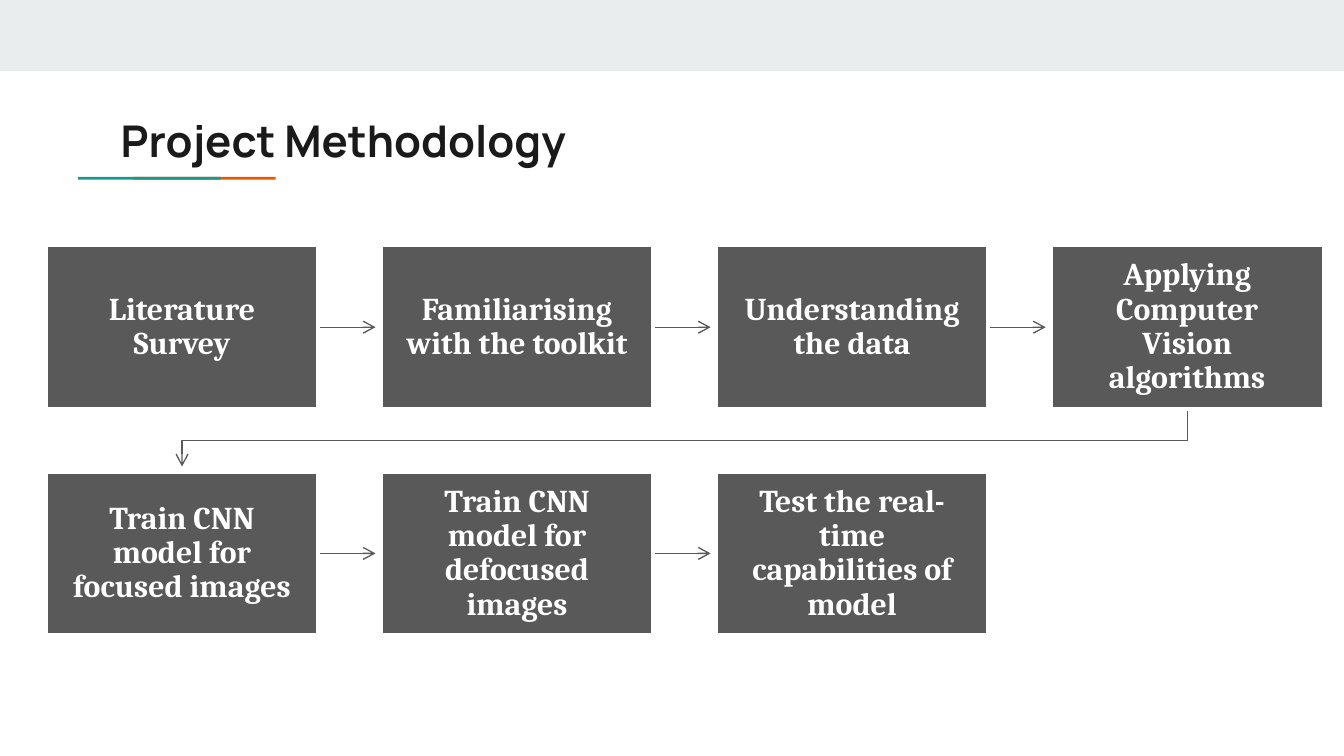
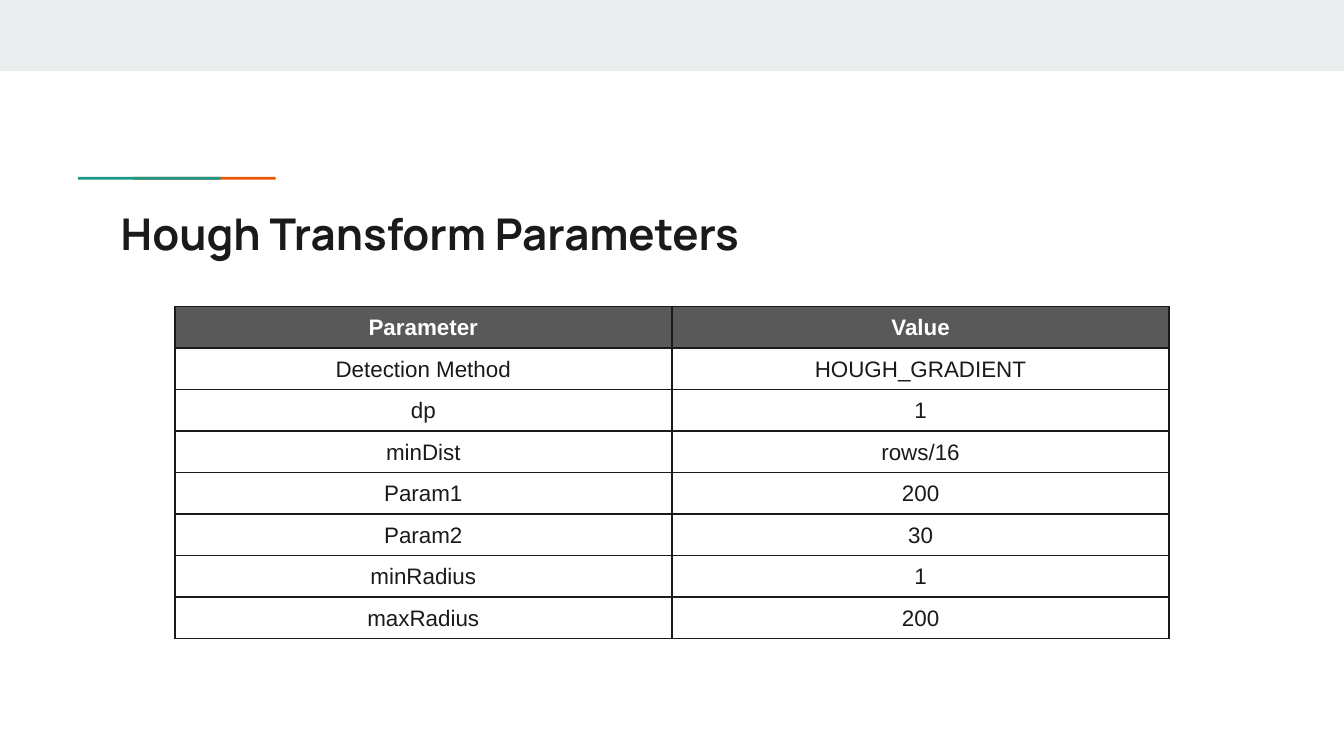
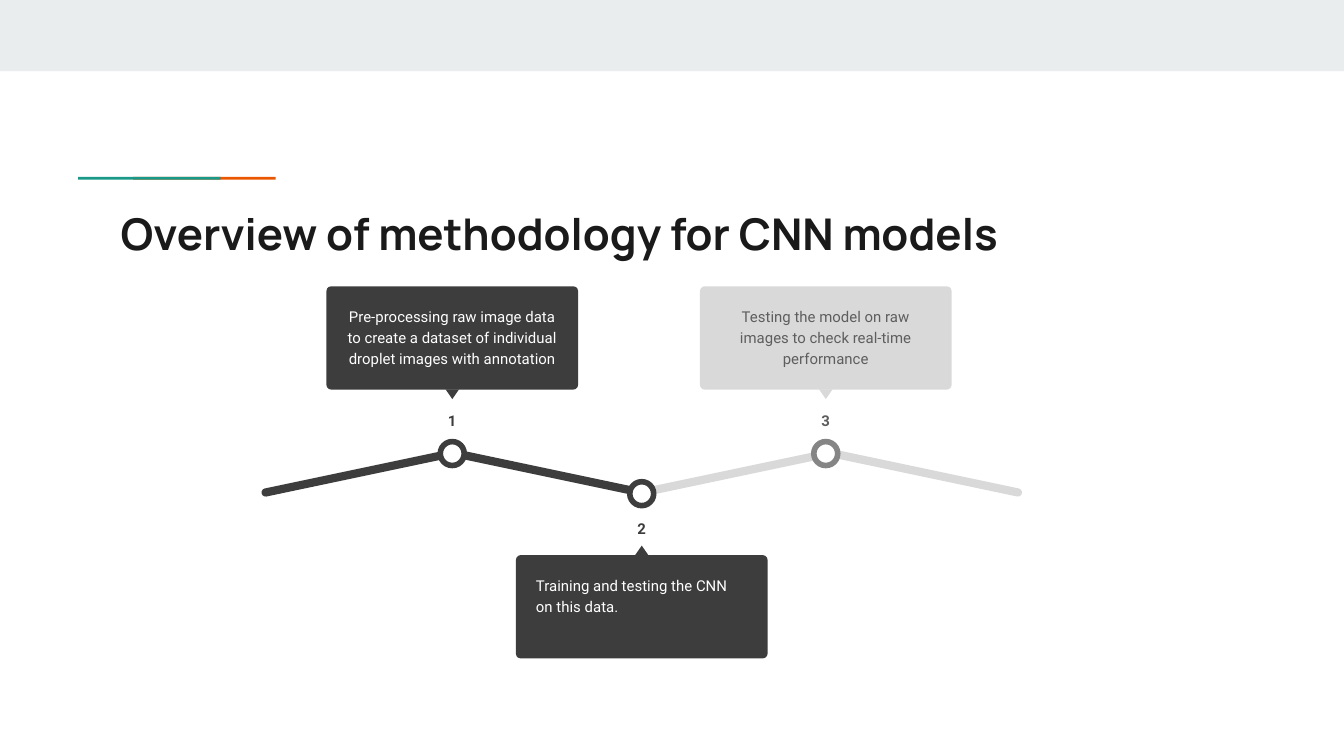
from lxml import etree
from pptx import Presentation
from pptx.dml.color import RGBColor
from pptx.enum import shapes, text
from pptx.oxml import ns
from pptx.util import Pt

# Content
STEPS = [
    ["Literature Survey", "Familiarising with the toolkit",
     "Understanding the data", "Applying Computer Vision algorithms"],
    ["Train CNN model for focused images", "Train CNN model for defocused images",
     "Test the real-time capabilities of model"],
]
PARAMETERS = [
    ("Parameter", "Value"),
    ("Detection Method", "HOUGH_GRADIENT"),
    ("dp", "1"),
    ("minDist", "rows/16"),
    ("Param1", "200"),
    ("Param2", "30"),
    ("minRadius", "1"),
    ("maxRadius", "200"),
]
LEFT, CENTER = text.PP_ALIGN.LEFT, text.PP_ALIGN.CENTER
WHITE, INK, GREY, DARK, LIGHT = "FFFFFF", "1A1A1A", "595959", "3D3D3D", "D9D9D9"
BAND, TEAL, ORANGE, RING, SOFT = "E9EDEE", "1A9988", "EB5600", "858585", "5E5E5E"
# number, centre, card above the line, text, alignment, card, ring, number and text colours
MILESTONES = [
    ("3", 442.4, True, "Testing the model on raw images to check real-time performance",
     CENTER, LIGHT, RING, SOFT, SOFT),
    ("2", 343.8, False, "Training and testing the CNN on this data.",
     LEFT, DARK, DARK, DARK, WHITE),
    ("1", 242.3, True, "Pre-processing raw image data to create a dataset of individual "
     "droplet images with annotation", CENTER, DARK, DARK, DARK, WHITE),
]
SEGMENTS = [(3, LIGHT), (2, LIGHT), (1, DARK), (0, DARK)]
KIND = shapes.MSO_SHAPE
MIDDLE, TOP = text.MSO_ANCHOR.MIDDLE, text.MSO_ANCHOR.TOP


def color(value):
    return RGBColor.from_string(value)


def add_block(page, kind, left, top, width, height, fill, line=None, weight=1, turn=0, rounding=None):
    block = page.shapes.add_shape(kind, Pt(left), Pt(top), Pt(width), Pt(height))
    block.shadow.inherit = False
    block.fill.solid()
    block.fill.fore_color.rgb = color(fill)
    if line:
        block.line.color.rgb = color(line)
        block.line.width = Pt(weight)
    else:
        block.line.fill.background()
    block.rotation = turn
    if rounding is not None:
        block.adjustments[0] = rounding
    return block


def write(frame, words, font, size, ink, bold=False, align=LEFT, spacing=1.0):
    para = frame.paragraphs[0]
    para.alignment = align
    para.line_spacing = spacing
    span = para.add_run()
    span.text = words
    span.font.name, span.font.size, span.font.bold = font, Pt(size), bold
    span.font.color.rgb = color(ink)


def set_frame(frame, across, down, anchor=TOP):
    frame.word_wrap = True
    frame.margin_left = frame.margin_right = Pt(across)
    frame.margin_top = frame.margin_bottom = Pt(down)
    frame.vertical_anchor = anchor


def add_text(page, left, top, width, height, words, *style, **options):
    box = page.shapes.add_textbox(Pt(left), Pt(top), Pt(width), Pt(height))
    set_frame(box.text_frame, 7.2, 7.2)
    write(box.text_frame, words, *style, **options)


def new_page(deck, title, title_top=103.7):
    page = deck.slides.add_slide(deck.slide_layouts[6])
    add_block(page, KIND.RECTANGLE, 0, 0, 720, 38.2, BAND)
    for left, fill in ((71.3, ORANGE), (41.8, TEAL)):
        add_block(page, KIND.RECTANGLE, left, 94.8, 76.4, 1.5, fill)
    add_text(page, 57.6, title_top, 605.5, 42.5, title, "Manrope", 23.4, INK, bold=True)
    return page


def style_arrow(arrow):
    arrow.line.color.rgb = color(GREY)
    arrow.line.width = Pt(0.75)
    etree.SubElement(arrow.line._get_or_add_ln(), ns.qn("a:tailEnd"), type="arrow")


# Process steps in rows
def add_steps(page):
    left, top, width, height, step, drop = 24.5, 131.5, 146, 87.6, 179.5, 121.2
    gap = 2.8  # between an arrowhead and the next box
    for row, labels in enumerate(STEPS):
        y = top + row * drop
        for column, label in enumerate(labels):
            x = left + column * step
            arrow = None
            if column < len(labels) - 1:
                middle = Pt(y + height / 2)
                arrow = page.shapes.add_connector(
                    shapes.MSO_CONNECTOR.STRAIGHT, Pt(x + width), middle, Pt(x + step - gap), middle)
                style_arrow(arrow)
                etree.SubElement(arrow._element.spPr, ns.qn("a:effectLst"))
            elif row < len(STEPS) - 1:
                start, end = x + width / 2, left + width / 2
                turn = y + (height + drop) / 2
                path = page.shapes.build_freeform(Pt(start), Pt(y + height))
                path.add_line_segments(
                    [(Pt(start), Pt(turn)), (Pt(end), Pt(turn)), (Pt(end), Pt(y + drop - gap))],
                    close=False)
                bend = path.convert_to_shape()
                bend.shadow.inherit = False
                bend.fill.background()
                style_arrow(bend)
            box = add_block(page, KIND.RECTANGLE, x, y, width, height, GREY, WHITE, 2)
            set_frame(box.text_frame, 9.4, 9.4, MIDDLE)
            write(box.text_frame, label, "Cambria", 17, WHITE, True, CENTER, 0.9)
            if arrow:
                arrow.begin_connect(box, 3)


# Parameter table
def add_border(cell):
    properties = cell._tc.get_or_add_tcPr()
    for side in ("lnL", "lnR", "lnT", "lnB"):
        line = etree.SubElement(properties, ns.qn("a:" + side), w=str(Pt(1)))
        fill = etree.SubElement(line, ns.qn("a:solidFill"))
        etree.SubElement(fill, ns.qn("a:srgbClr"), val=INK)


def add_parameters(page):
    row_height, column_width = 22.25, 266.4
    table = page.shapes.add_table(
        len(PARAMETERS), 2, Pt(93.6), Pt(164.2),
        Pt(2 * column_width), Pt(len(PARAMETERS) * row_height)).table
    table.horz_banding = False
    for row, values in enumerate(PARAMETERS):
        table.rows[row].height = Pt(row_height)
        header = row == 0
        for column, value in enumerate(values):
            cell = table.cell(row, column)
            add_border(cell)
            cell.fill.solid()
            cell.fill.fore_color.rgb = color(GREY if header else WHITE)
            cell.margin_left = cell.margin_right = Pt(5.2)
            cell.margin_top = cell.margin_bottom = 0
            cell.vertical_anchor = MIDDLE
            write(cell.text_frame, value, "Arial", 12, WHITE if header else INK, header, CENTER, 1.07)


# Zigzag timeline
def add_timeline(page):
    for index, fill in SEGMENTS:
        add_block(page, KIND.ROUNDED_RECTANGLE, 139 + 101 * index, 251.1, 106.6, 4.4, fill,
                  turn=11.9 if index % 2 else -11.9, rounding=0.5)
    for number, center, above, words, align, fill, ring, number_ink, ink in MILESTONES:
        dot_top, number_top, card_top, tip_top = (
            (236.6, 213.8, 153.4, 208.6) if above else (258.1, 271.6, 297.4, 292.3))
        add_block(page, KIND.OVAL, center - 6.4, dot_top, 12.8, 12.8, WHITE, ring, 3)
        add_text(page, center - 27.4, number_top, 54.8, 21.6, number,
                 "Roboto", 8, number_ink, bold=True, align=CENTER, spacing=1.15)
        card = add_block(page, KIND.ROUNDED_RECTANGLE, center - 67.4, card_top, 134.8, 55.3, fill,
                         rounding=0.045)
        set_frame(card.text_frame, 10, 9.5)
        write(card.text_frame, words, "Roboto", 8, ink, align=align, spacing=1.15)
        add_block(page, KIND.ISOSCELES_TRIANGLE, center - 3.6, tip_top, 7.2, 5.2, fill,
                  turn=180 if above else 0)


def main():
    deck = Presentation()
    deck.slide_width, deck.slide_height = Pt(720), Pt(405)
    add_steps(new_page(deck, "Project Methodology", title_top=54))
    add_parameters(new_page(deck, "Hough Transform Parameters"))
    add_timeline(new_page(deck, "Overview of methodology for CNN models"))
    deck.save("out.pptx")


if __name__ == "__main__":
    main()
